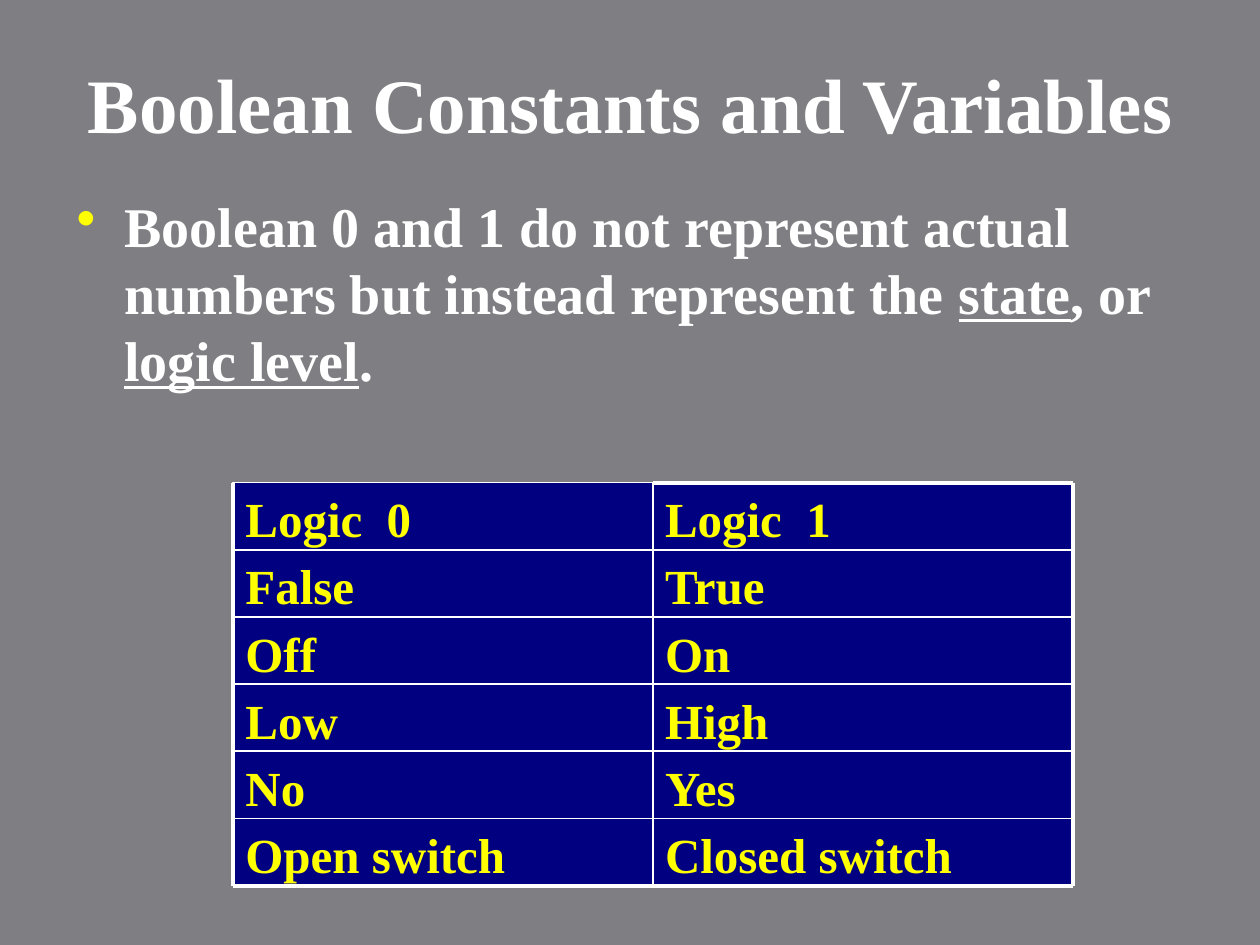
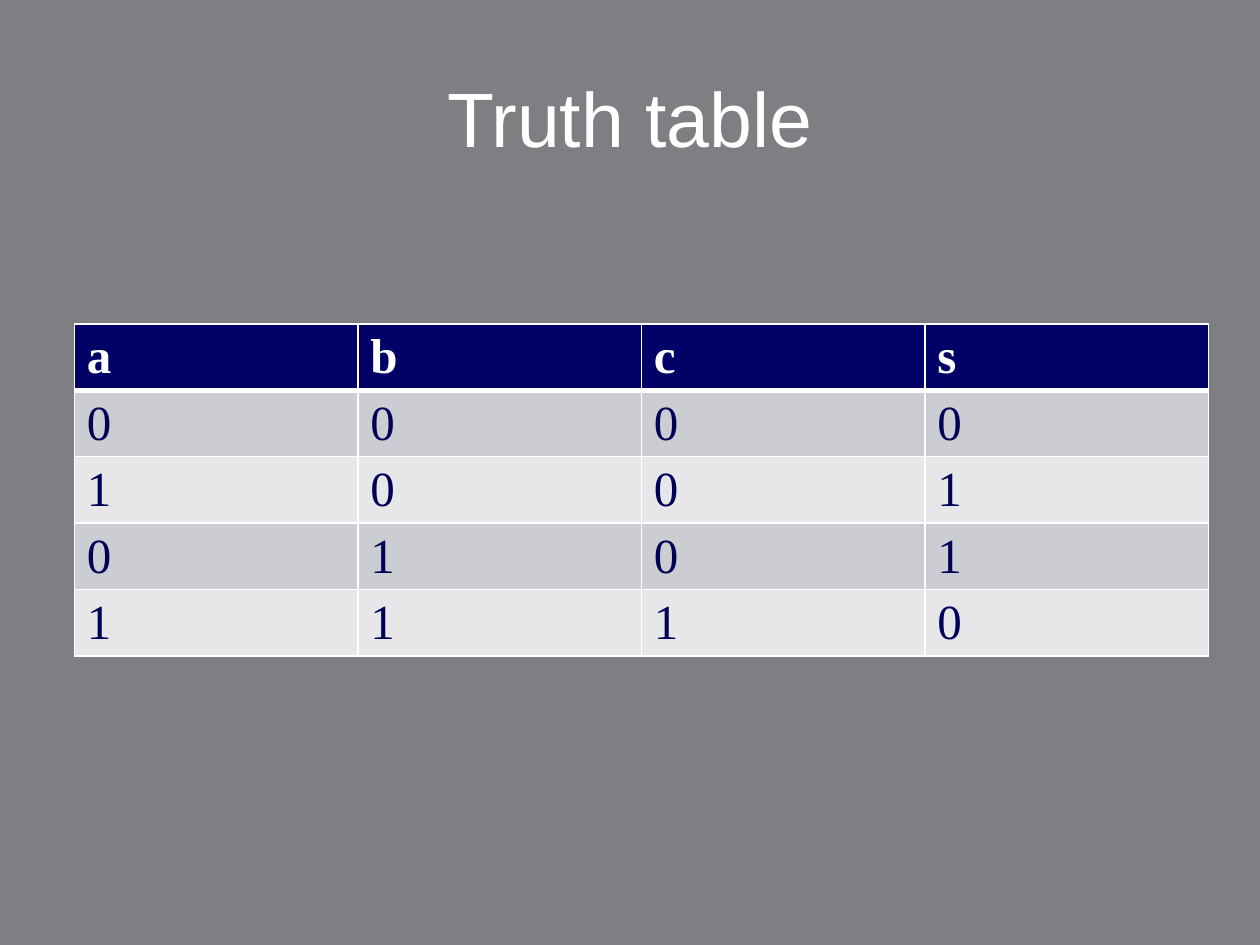
"""Build two slides on Boolean constants and a truth table."""
import pptx
import pptx.dml.color
import pptx.enum.shapes
import pptx.enum.text
import pptx.util
from lxml import etree
from pptx.oxml import ns

Inches, Pt = pptx.util.Inches, pptx.util.Pt
ANCHOR, ALIGN = pptx.enum.text.MSO_ANCHOR, pptx.enum.text.PP_ALIGN
BACKGROUND, WHITE, YELLOW, NAVY = "7E7E83", "FFFFFF", "FFFF00", "000080"
SERIF, SANS = "Times New Roman", "Arial"


def rgb(color):
    return pptx.dml.color.RGBColor.from_string(color)


def set_font(font, size, name, color, bold=False):
    font.size, font.name, font.bold = Pt(size), name, bold
    font.color.rgb = rgb(color)


prs = pptx.Presentation()
prs.slide_width, prs.slide_height = Inches(10), Inches(7.5)

titles = [
    ("Boolean Constants and Variables", (0.28, 0.21, 9.45, 1.02), ANCHOR.BOTTOM, SERIF, True),
    ("Truth table", (0.5, 0.3, 9, 1.25), ANCHOR.MIDDLE, SANS, False),
]
for text, box, anchor, name, bold in titles:
    s = prs.slides.add_slide(prs.slide_layouts[6])
    s.background.fill.solid()
    s.background.fill.fore_color.rgb = rgb(BACKGROUND)
    tf = s.shapes.add_textbox(*map(Inches, box)).text_frame
    tf.word_wrap, tf.vertical_anchor = True, anchor
    p = tf.paragraphs[0]
    p.text, p.alignment = text, ALIGN.CENTER
    set_font(p.font, 44, name, WHITE, bold)

constants_slide, truth_slide = prs.slides

tf = constants_slide.shapes.add_textbox(Inches(0.51), Inches(1.47), Inches(9), Inches(1.97)).text_frame
tf.word_wrap = True
p = tf.paragraphs[0]
set_font(p.font, 32, SERIF, WHITE, True)
for text, underline in [
    ("Boolean 0 and 1 do not represent actual numbers but instead represent the ", False),
    ("state", True),
    (", or ", False),
    ("logic level", True),
    (".", False),
]:
    r = p.add_run()
    r.text, r.font.underline = text, underline
pPr = p._p.get_or_add_pPr()
pPr.set("marL", str(Inches(0.38)))
pPr.set("indent", str(Inches(-0.38)))
bullet_color = etree.Element(ns.qn("a:buClr"))
etree.SubElement(bullet_color, ns.qn("a:srgbClr"), val=YELLOW)
pPr.find(ns.qn("a:defRPr")).addprevious(bullet_color)
bullet_color.addnext(etree.Element(ns.qn("a:buChar"), char="•"))

levels = [
    ("Logic  0", "Logic  1"),
    ("False", "True"),
    ("Off", "On"),
    ("Low", "High"),
    ("No", "Yes"),
    ("Open switch", "Closed switch"),
]
xs = [1.85, 5.18, 8.52]
ys = [3.83 + i * 3.2 / len(levels) for i in range(len(levels) + 1)]
for i in reversed(range(len(levels))):
    for j in (1, 0):
        sp = constants_slide.shapes.add_shape(
            pptx.enum.shapes.MSO_SHAPE.RECTANGLE,
            Inches(xs[j]), Inches(ys[i]), Inches(3.33), Inches(ys[i + 1] - ys[i]))
        sp.shadow.inherit = False
        sp.fill.solid()
        sp.fill.fore_color.rgb = rgb(NAVY)
        sp.line.color.rgb, sp.line.width = rgb(WHITE), Pt(0.75)
        tf = sp.text_frame
        tf.word_wrap, tf.vertical_anchor = True, ANCHOR.TOP
        p = tf.paragraphs[0]
        p.text, p.alignment, p.space_before = levels[i][j], ALIGN.LEFT, Pt(6.5)
        set_font(p.font, 28, SERIF, YELLOW, True)

left, middle, right = xs
top, bottom = ys[0], ys[-1]
rules = [(left, top, middle, top, 1)]
rules += [(left, y, right, y, 1) for y in ys[1:-1]]
rules += [
    (left, bottom, right, bottom, 2.25),
    (left, top, left, bottom, 2.25),
    (middle, top, middle, bottom, 1),
    (right, top, right, bottom, 2.25),
    (middle, top, right, top, 2.25),
]
for *ends, width in rules:
    line = constants_slide.shapes.add_connector(
        pptx.enum.shapes.MSO_CONNECTOR.STRAIGHT, *map(Inches, ends))
    line.line.color.rgb, line.line.width = rgb(WHITE), Pt(width)
    etree.SubElement(line._element.spPr, ns.qn("a:effectLst"))

truth_rows = ["abcs", "0000", "1001", "0101", "1110"]
table = truth_slide.shapes.add_table(
    len(truth_rows), 4, Inches(0.59), Inches(2.57), Inches(9), Inches(2.03)).table
for i, row in enumerate(truth_rows):
    header = i == 0
    fill = "000066" if header else ("E7E7EA", "CCCCD3")[i % 2]
    for j, text in enumerate(row):
        cell = table.cell(i, j)
        cell.text = text
        cell.margin_bottom = Inches(0.01)
        p = cell.text_frame.paragraphs[0]
        set_font(p.font, 28, SERIF, WHITE if header else "000056", header)
        tcPr = cell._tc.get_or_add_tcPr()
        for side, width in zip("LRTB", (1, 1, 3 if i == 1 else 1, 3 if header else 1)):
            ln = etree.SubElement(tcPr, ns.qn("a:ln" + side), w=str(Pt(width)))
            solid = etree.SubElement(ln, ns.qn("a:solidFill"))
            etree.SubElement(solid, ns.qn("a:srgbClr"), val=WHITE)
        cell.fill.solid()
        cell.fill.fore_color.rgb = rgb(fill)

prs.save("out.pptx")
